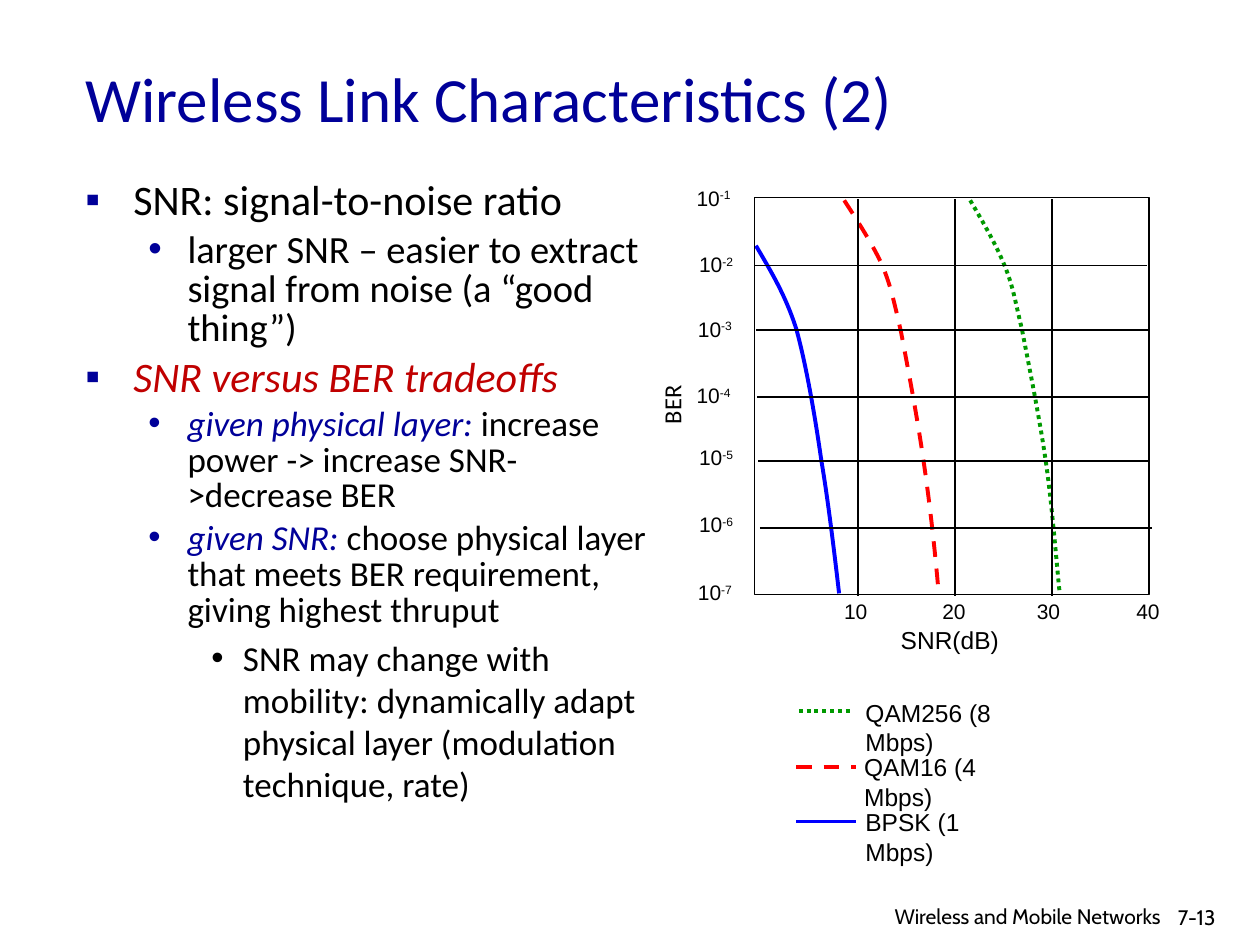
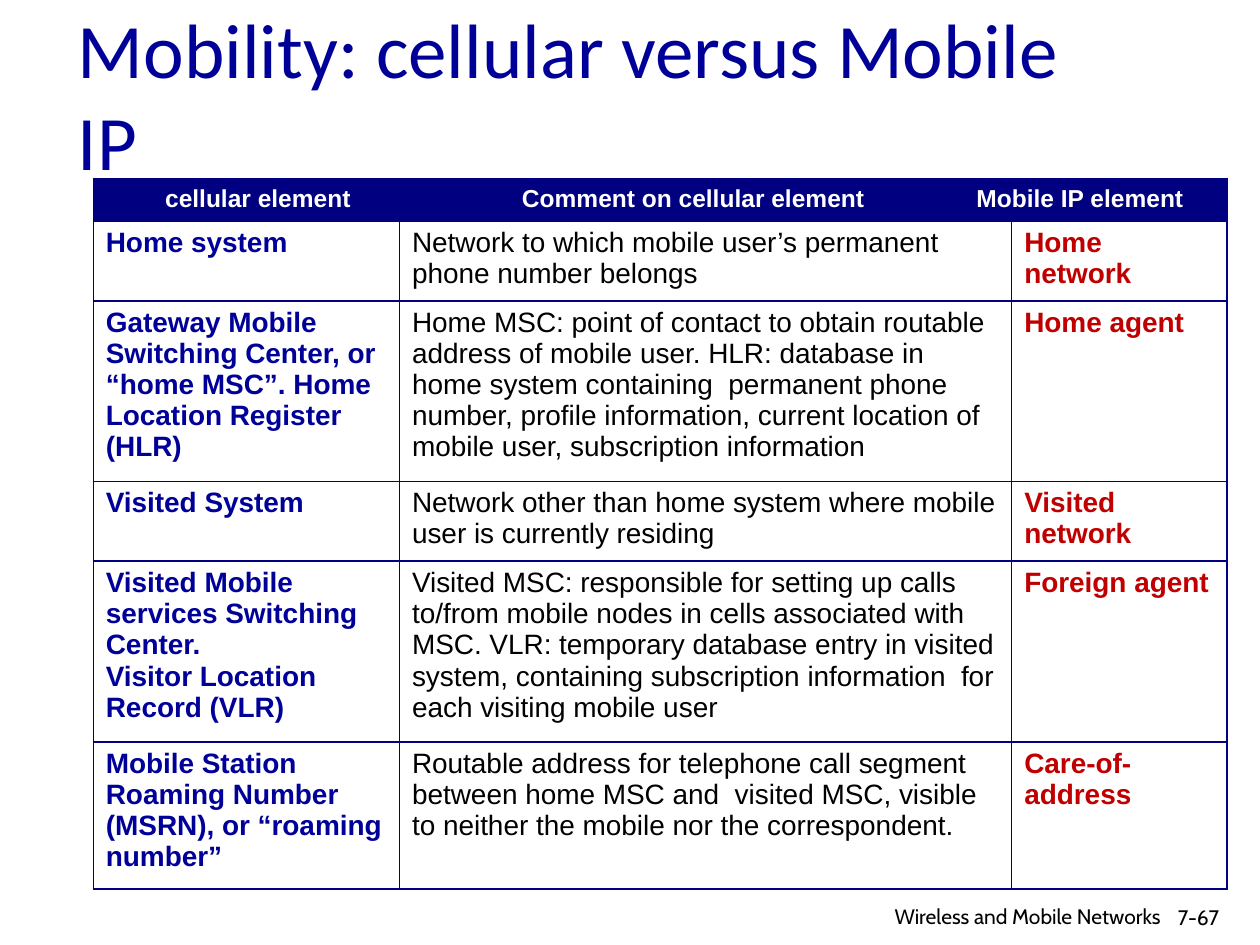
"""Build two lecture slides on wireless links and mobility."""
import lxml.etree
import pptx
import pptx.dml.color
import pptx.enum.dml
import pptx.enum.shapes
import pptx.enum.text
import pptx.oxml.ns
import pptx.util

EMU_PER_PX = 9144
NAVY, DEEP_NAVY, CRIMSON = "000099", "000080", "C00000"
BLACK, WHITE = "000000", "FFFFFF"
BLUE, RED, GREEN = "0000FF", "FF0000", "009900"
ALIGN = pptx.enum.text.PP_ALIGN
DASH = pptx.enum.dml.MSO_LINE.DASH
DOTS = pptx.enum.dml.MSO_LINE.ROUND_DOT

CURVES = [
    (BLUE, None, [(600, 195), (611, 214), (623, 233), (632, 261), (640, 290),
                  (647, 331), (652, 366), (658, 401), (664, 454), (666, 471)]),
    (RED, DASH, [(670, 159), (681, 176), (692, 193), (700, 210), (707, 227),
                 (709, 237), (715, 263), (720, 289), (728, 331), (733, 366),
                 (738, 400), (742, 436), (745, 471)]),
    (GREEN, DOTS, [(770, 159), (780, 176), (790, 193), (797, 210), (804, 227),
                   (805, 236), (811, 261), (816, 287), (825, 331), (830, 366),
                   (835, 400), (839, 452), (841, 470)]),
]
GRID_TOPS = [211, 262, 315, 366, 419]
GRID_LEFTS = [681, 758, 835]
DECADE_LABELS = [(543, 142), (545, 195), (544, 246), (543, 299), (545, 348), (545, 401), (544, 455)]
SNR_LABEL_LEFTS = [660, 738, 813, 892]
LEGEND = [
    ("QAM256 (8 Mbps)", GREEN, DOTS, 634, 677, 564, 677, 549, 178),
    ("QAM16 (4 Mbps)", RED, DASH, 632, 679, 609, 676, 592, 168),
    ("BPSK (1 Mbps)", BLUE, None, 632, 679, 652, 677, 636, 154),
]
PLAIN, TERM = {"color": BLACK}, {"color": NAVY, "italic": True}
BULLETS = [
    (0, 24, [("SNR: signal-to-noise ratio", PLAIN)]),
    (1, 22, [("larger SNR – easier to extract signal from noise (a “good thing”)", PLAIN)]),
    (0, 24, [("SNR versus BER tradeoffs", {"color": CRIMSON, "italic": True})]),
    (1, 20, [("given physical layer:", TERM),
             (" increase power -> increase SNR->decrease BER", PLAIN)]),
    (1, 20, [("given SNR:", TERM),
             (" choose physical layer that meets BER requirement, giving highest thruput", PLAIN)]),
    (2, 20, [("SNR may change with mobility: dynamically adapt physical layer "
              "(modulation technique, rate)", PLAIN)]),
]
BULLET_LEVELS = [("▪", NAVY, 38, 38, 0.85), ("•", NAVY, 81, 31, 0.85), ("•", BLACK, 125, 25, 1.0)]

COLUMN_WIDTHS = [243, 20, 424, 38, 171]
ROW_HEIGHTS = [33, 63, 143, 63, 143, 117]
HEADERS = ["cellular element ", "Comment on cellular element ", "Mobile IP element"]
ROWS = [
    ("Home system",
     "Network to which mobile user’s permanent phone number belongs",
     "Home network"),
    ("Gateway Mobile Switching Center, or “home MSC”. Home Location Register (HLR)",
     "Home MSC: point of contact to obtain routable address of mobile user. HLR: database in "
     "home system containing  permanent phone number, profile information, current location of "
     "mobile user, subscription information",
     "Home agent"),
    ("Visited System",
     "Network other than home system where mobile user is currently residing",
     "Visited network"),
    ("Visited Mobile services Switching Center.\nVisitor Location Record (VLR)",
     "Visited MSC: responsible for setting up calls to/from mobile nodes in cells associated "
     "with MSC. VLR: temporary database entry in visited system, containing subscription "
     "information  for each visiting mobile user",
     "Foreign agent"),
    ("Mobile Station Roaming Number (MSRN), or “roaming number”",
     "Routable address for telephone call segment between home MSC and  visited MSC, visible "
     "to neither the mobile nor the correspondent.",
     "Care-of-address"),
]


def px(length):
    """Turn px into EMU."""
    return pptx.util.Emu(round(length * EMU_PER_PX))


def rgb(value):
    """Turn a hex string into a colour."""
    return pptx.dml.color.RGBColor.from_string(value)


def add_xml(parent, tag, **attributes):
    """Append a DrawingML element."""
    return lxml.etree.SubElement(parent, pptx.oxml.ns.qn(tag), attributes)


def style_span(span, size, font="Arial", color=BLACK, bold=False, italic=False):
    """Format one run."""
    span.font.size = pptx.util.Pt(size)
    span.font.name = font
    span.font.color.rgb = rgb(color)
    span.font.bold = bold
    span.font.italic = italic


def style_frame(frame, size, align=ALIGN.LEFT, **style):
    """Format every run of a text frame."""
    for para in frame.paragraphs:
        para.alignment = align
        for span in para.runs:
            style_span(span, size, **style)


def add_text(page, text, left, top, width, height, size, align=ALIGN.LEFT, **style):
    """Add a wrapping text box."""
    box = page.shapes.add_textbox(px(left), px(top), px(width), px(height))
    box.text_frame.word_wrap = True
    box.text_frame.text = text
    style_frame(box.text_frame, size, align, **style)
    return box


def add_label(page, text, left, top, width, height, size, **style):
    """Add a one-line label that fits its text."""
    box = add_text(page, text, left, top, width, height, size, **style)
    box.text_frame.word_wrap = False
    box.text_frame.auto_size = pptx.enum.text.MSO_AUTO_SIZE.SHAPE_TO_FIT_TEXT
    return box


def style_line(line, color, weight, dash=None):
    """Set colour, weight and dash of a line."""
    line.color.rgb = rgb(color)
    line.width = pptx.util.Pt(weight)
    if dash:
        line.dash_style = dash


def add_line(page, start, end, color=BLACK, weight=0.75, dash=None):
    """Add a straight line."""
    line = page.shapes.add_connector(
        pptx.enum.shapes.MSO_CONNECTOR.STRAIGHT, *map(px, start + end))
    style_line(line.line, color, weight, dash)
    add_xml(line._element.spPr, "a:effectLst")


def bend_segments(shape):
    """Join each three line segments of a freeform into one cubic curve."""
    segments = list(shape._element.iter(pptx.oxml.ns.qn("a:lnTo")))
    outline = segments[0].getparent()
    for first in range(0, len(segments), 3):
        bend = add_xml(outline, "a:cubicBezTo")
        for segment in segments[first:first + 3]:
            bend.append(segment[0])
            outline.remove(segment)


def add_curve(page, color, dash, knots):
    """Add one BER curve."""
    points = [(px(x), px(y)) for x, y in knots]
    builder = page.shapes.build_freeform(*points[0])
    builder.add_line_segments(points[1:], close=False)
    curve = builder.convert_to_shape()
    bend_segments(curve)
    curve.fill.background()
    curve.shadow.inherit = False
    style_line(curve.line, color, 2.25, dash)


def add_page(deck, title, left, top, title_size, number):
    """Add a slide with its title and footer."""
    page = deck.slides.add_slide(deck.slide_layouts[6])
    box = add_text(page, title, left, top, 850, 125, title_size, font="Calibri", color=NAVY)
    box.text_frame.vertical_anchor = pptx.enum.text.MSO_ANCHOR.MIDDLE
    add_text(page, number, 925, 713, 75, 30, 12, font="Cabin")
    add_text(page, "Wireless and Mobile Networks ", 640, 712, 295, 28, 12,
             ALIGN.RIGHT, font="Cabin")
    return page


def add_bullets(page):
    """Add the bulleted body text."""
    frame = add_text(page, "", 58, 139, 468, 568, 24).text_frame
    for index, (level, size, spans) in enumerate(BULLETS):
        para = frame.add_paragraph() if index else frame.paragraphs[0]
        mark, mark_color, margin, hanging, spacing = BULLET_LEVELS[level]
        para.level = level
        para.line_spacing = spacing
        para.space_before = pptx.util.Pt(size * 0.2)
        properties = para._p.get_or_add_pPr()
        properties.set("marL", str(px(margin)))
        properties.set("indent", str(px(-hanging)))
        add_xml(add_xml(properties, "a:buClr"), "a:srgbClr", val=mark_color)
        add_xml(properties, "a:buFont", typeface="Arial")
        add_xml(properties, "a:buChar", char=mark)
        for text, style in spans:
            span = para.add_run()
            span.text = text
            style_span(span, size, font="Calibri", **style)


def add_plot(page):
    """Add the BER curves, grid and axis labels."""
    for color, dash, knots in CURVES:
        add_curve(page, color, dash, knots)
    frame = page.shapes.add_shape(pptx.enum.shapes.MSO_SHAPE.RECTANGLE,
                                  px(599), px(157), px(313), px(315))
    frame.fill.background()
    frame.shadow.inherit = False
    style_line(frame.line, BLACK, 0.75)
    for index, top in enumerate(GRID_TOPS):
        add_line(page, (599 + index, top), (910 + index, top))
    for left in GRID_LEFTS:
        add_line(page, (left, 158), (left, 473))
    for tens, left in enumerate(SNR_LABEL_LEFTS, 1):
        add_label(page, f"{tens * 10}", left, 470, 39, 30, 12)
    for power, (left, top) in enumerate(DECADE_LABELS, 1):
        box = add_label(page, "10", left, top, 48, 30, 12)
        exponent = box.text_frame.paragraphs[0].add_run()
        exponent.text = f"-{power}"
        style_span(exponent, 12)
        exponent.font._element.set("baseline", "30000")
    add_label(page, "SNR(dB)", 705, 491, 98, 33, 14)
    add_label(page, "BER", 507, 303, 53, 34, 14, font="Calibri").rotation = 270


def add_legend(page):
    """Add the key to the curves."""
    for text, color, dash, start, end, y, left, top, width in LEGEND:
        add_line(page, (start, y), (end, y), color, 2.25, dash)
        box = add_text(page, text, left, top, width, 33, 14)
        box.text_frame.margin_right = px(50)


def set_borders(cell):
    """Draw all four borders of a cell."""
    properties = cell._tc.get_or_add_tcPr()
    for side in ("L", "R", "T", "B"):
        border = add_xml(properties, f"a:ln{side}", w=str(pptx.util.Pt(1)))
        add_xml(add_xml(border, "a:solidFill"), "a:srgbClr", val=DEEP_NAVY)


def fill_cell(cell, text, size, align=ALIGN.LEFT, **style):
    """Write and format the text of a cell."""
    cell.text = text
    style_frame(cell.text_frame, size, align, **style)


def add_comparison(page):
    """Add the table of cellular and Mobile IP elements."""
    table = page.shapes.add_table(len(ROW_HEIGHTS), len(COLUMN_WIDTHS),
                                  px(74), px(142), px(896), px(562)).table
    table.first_row = table.horz_banding = False
    for column, width in zip(table.columns, COLUMN_WIDTHS):
        column.width = px(width)
    for index, (row, height) in enumerate(zip(table.rows, ROW_HEIGHTS)):
        row.height = px(height)
        for cell in row.cells:
            set_borders(cell)
            if index == 0:
                cell.fill.solid()
                cell.fill.fore_color.rgb = rgb(DEEP_NAVY)
            else:
                cell.fill.background()
    for first, last in ((0, 1), (3, 4)):
        table.cell(0, first).merge(table.cell(0, last))
    aligns = (ALIGN.CENTER, ALIGN.CENTER, ALIGN.LEFT)
    for column, text, align in zip((0, 2, 3), HEADERS, aligns):
        fill_cell(table.cell(0, column), text, 14, align, color=WHITE, bold=True)
    for index, (element, comment, counterpart) in enumerate(ROWS, 1):
        table.cell(index, 1).merge(table.cell(index, 3))
        fill_cell(table.cell(index, 0), element, 16, color=NAVY, bold=True)
        fill_cell(table.cell(index, 1), comment, 16)
        fill_cell(table.cell(index, 4), counterpart, 16, color=CRIMSON, bold=True)


def main():
    """Build and save the deck."""
    deck = pptx.Presentation()
    deck.slide_width, deck.slide_height = px(1000), px(750)
    link = add_page(deck, "Wireless Link Characteristics (2)", 58, 15, 36, "7-13")
    add_bullets(link)
    add_plot(link)
    add_legend(link)
    mobility = add_page(deck, "Mobility: cellular versus Mobile IP", 52, 12, 44, "7-67")
    add_comparison(mobility)
    deck.save("out.pptx")


if __name__ == "__main__":
    main()
